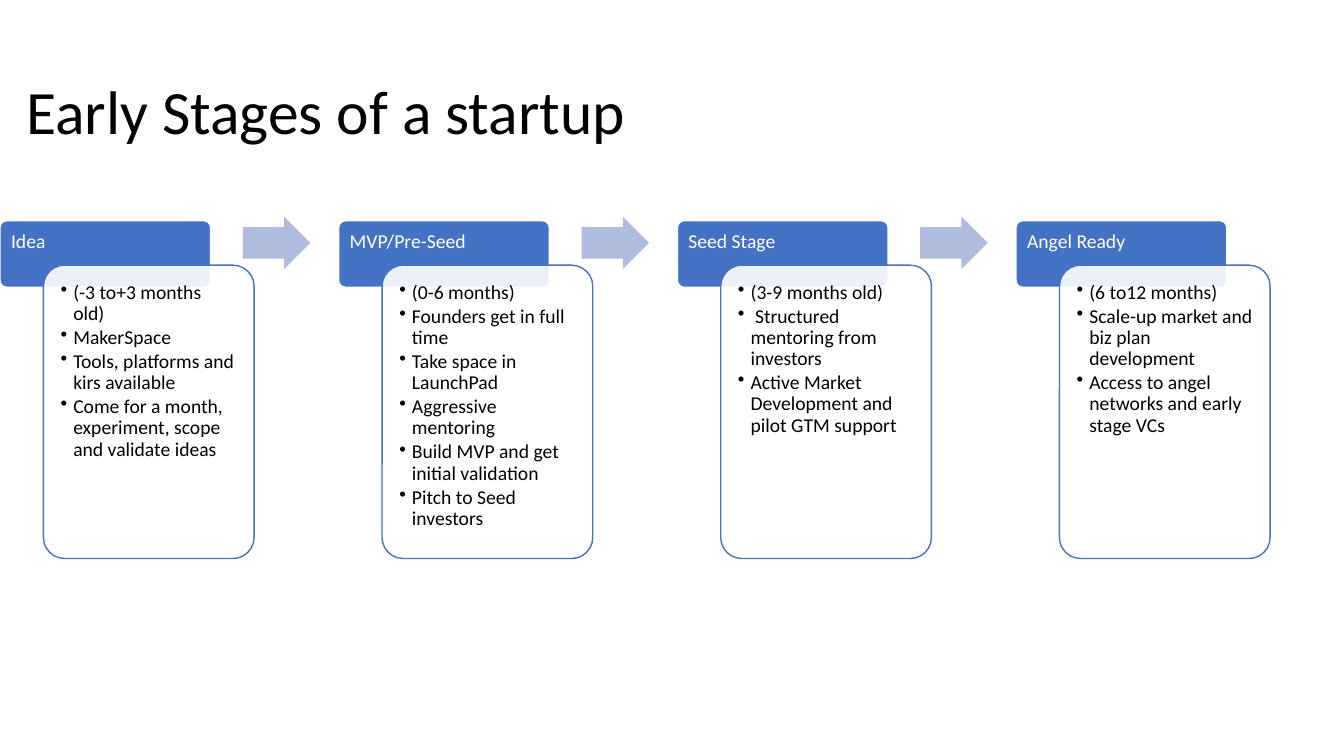
from lxml import etree
from pptx import Presentation
from pptx.dml.color import RGBColor
from pptx.enum import shapes, text
from pptx.oxml.ns import qn
from pptx.util import Pt

BLUE, PALE, WHITE, BLACK = "4472C4", "B0BCDE", "FFFFFF", "000000"
PITCH = 241.92  # distance from one stage to the next
STAGES = [
    ("Idea", ["(-3 to+3 months old)", "MakerSpace",
              "Tools, platforms and kirs available",
              "Come for a month, experiment, scope and validate ideas"]),
    ("MVP/Pre-Seed", ["(0-6 months)", "Founders get in full time",
                      "Take space in LaunchPad", "Aggressive mentoring",
                      "Build MVP and get initial validation",
                      "Pitch to Seed investors"]),
    ("Seed Stage", ["(3-9 months old)", " Structured mentoring from investors",
                    "Active Market Development and pilot GTM support"]),
    ("Angel Ready", ["(6 to12 months)",
                     "Scale-up market and biz plan development",
                     "Access to angel networks and early stage VCs"]),
]


def rgb(color):
    return RGBColor.from_string(color)


def write(p, words, size=14, color=BLACK, after=0, bullet=False):
    p.alignment = text.PP_ALIGN.LEFT
    p.line_spacing = 0.9
    p.space_after = Pt(after)
    r = p.add_run()
    r.text = words
    r.font.size, r.font.name = Pt(size), "Calibri"
    r.font.color.rgb = rgb(color)
    if bullet:
        pPr = p._p.get_or_add_pPr()
        pPr.set("marL", str(Pt(9)))
        pPr.set("indent", str(-Pt(9)))
        etree.SubElement(pPr, qn("a:buChar"), char="•")


def add_block(s, kind, box, adjust, fill, line=None, alpha=None):
    sp = s.shapes.add_shape(kind, *map(Pt, box))
    sp.shadow.inherit = False
    for i, value in enumerate(adjust):
        sp.adjustments[i] = value
    sp.fill.solid()
    sp.fill.fore_color.rgb = rgb(fill)
    if alpha:
        clr = sp._element.spPr.find(qn("a:solidFill"))[0]
        etree.SubElement(clr, qn("a:alpha"), val=str(alpha * 1000))
    if line:
        sp.line.color.rgb = rgb(line)
        sp.line.width = Pt(1)
    else:
        sp.line.fill.background()
    return sp


def text_frame(sp, inset):
    tf = sp.text_frame
    tf.word_wrap = True
    tf.vertical_anchor = text.MSO_ANCHOR.TOP
    tf.margin_left = tf.margin_right = Pt(inset)
    tf.margin_top = tf.margin_bottom = Pt(inset)
    return tf


def add_title(s, words, x, y, w, h):
    sp = s.shapes.title
    sp.left, sp.top, sp.width, sp.height = map(Pt, (x, y, w, h))
    sp.text_frame.vertical_anchor = text.MSO_ANCHOR.MIDDLE
    write(sp.text_frame.paragraphs[0], words, size=44)


def add_stage(s, name, points, x, y, w, h, arrow):
    rounded = shapes.MSO_SHAPE.ROUNDED_RECTANGLE
    card_w, card_h = w - 31, h - 31.7
    # Header
    sp = add_block(s, rounded, (x, y, card_w, 47.5), [0.1], BLUE, WHITE)
    write(text_frame(sp, 6.5).paragraphs[0], name, color=WHITE)
    # Card with bullets, overlapping the header
    sp = add_block(s, rounded, (x + 31, y + 31.7, card_w, card_h),
                   [0.1], WHITE, BLUE, alpha=90)
    tf = text_frame(sp, 7.9)
    for i, point in enumerate(points):
        p = tf.add_paragraph() if i else tf.paragraphs[0]
        write(p, point, after=2, bullet=True)
    # Arrow to the next stage
    if arrow:
        add_block(s, shapes.MSO_SHAPE.RIGHT_ARROW,
                  (x + 173.5, y - 2.9, 48.2, 37.4), [0.6, 0.5], PALE)


def main():
    prs = Presentation()
    prs.slide_width, prs.slide_height = Pt(960), Pt(540)
    s = prs.slides.add_slide(prs.slide_layouts[5])
    add_title(s, "Early Stages of a startup", 11.5, 29.5, 828, 104.4)
    for i, (name, points) in enumerate(STAGES):
        add_stage(s, name, points, i * PITCH, 157.7, 181.5, 241.2,
                  arrow=i < len(STAGES) - 1)
    prs.save("out.pptx")


if __name__ == "__main__":
    main()
